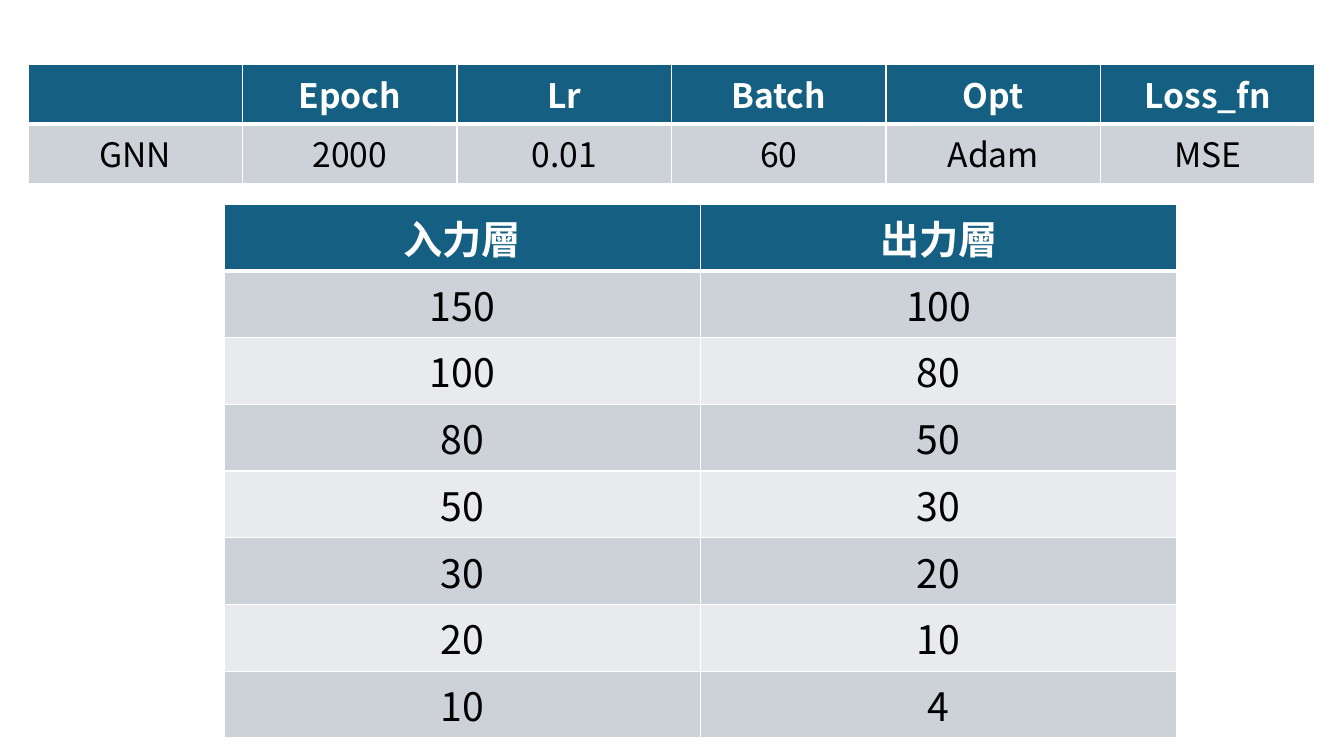
from lxml.etree import SubElement as Sub
from pptx import Presentation
from pptx.dml.color import RGBColor as Rgb
from pptx.enum.text import PP_ALIGN as Align
from pptx.oxml.ns import qn
from pptx.util import Pt

SCALE = 914400 / 100.8
HUES = {"head": "156082", "odd": "CCD2D8", "even": "E8EAED",
        "white": "FFFFFF", "black": "000000"}
SETUP = [
    ["", "Epoch", "Lr", "Batch", "Opt", "Loss_fn"],
    ["GNN", "2000", "0.01", "60", "Adam", "MSE"],
]
SIZES = [150, 100, 80, 50, 30, 20, 10, 4]
LAYERS = [["入力層", "出力層"]] + [[str(a), str(b)] for a, b in zip(SIZES, SIZES[1:])]


def px(n):
    return round(n * SCALE)


class Deck:
    font = "Noto Sans CJK JP"

    def __init__(self, wide, high):
        self.prs = Presentation()
        self.prs.slide_width, self.prs.slide_height = px(wide), px(high)
        self.slide = self.prs.slides.add_slide(self.prs.slide_layouts[6])

    def hue(self, name):
        return Rgb.from_string(HUES[name])

    def edge(self, cell, side, width):
        line = Sub(cell._tc.get_or_add_tcPr(), qn("a:ln" + side), w=str(Pt(width)))
        fill = Sub(line, qn("a:solidFill"))
        Sub(fill, qn("a:srgbClr"), val=HUES["white"])

    def text(self, cell, words, size, head):
        para = cell.text_frame.paragraphs[0]
        para.alignment = Align.CENTER
        if not words:
            return
        run = para.add_run()
        run.text = words
        font = run.font
        font.name, font.size, font.bold = self.font, Pt(size), head
        font.color.rgb = self.hue("white" if head else "black")
        Sub(run._r.get_or_add_rPr(), qn("a:ea"), typeface=self.font)

    def cell(self, cell, words, size, row):
        head = row == 0
        for side in "LRTB":
            thick = (row, side) in ((0, "B"), (1, "T"))
            self.edge(cell, side, 3 if thick else 1)
        cell.fill.solid()
        tone = "head" if head else "odd" if row % 2 else "even"
        cell.fill.fore_color.rgb = self.hue(tone)
        self.text(cell, words, size, head)

    def table(self, data, left, top, wide, high, size):
        frame = self.slide.shapes.add_table(
            len(data), len(data[0]), px(left), px(top), px(wide), px(high))
        for r, line in enumerate(data):
            for c, words in enumerate(line):
                self.cell(frame.table.cell(r, c), words, size, r)


def main():
    deck = Deck(1344, 756)
    deck.table(SETUP, 28, 64, 1287, 120, 24)
    deck.table(LAYERS, 224, 204, 953, 509, 28)
    deck.prs.save("out.pptx")


if __name__ == "__main__":
    main()
